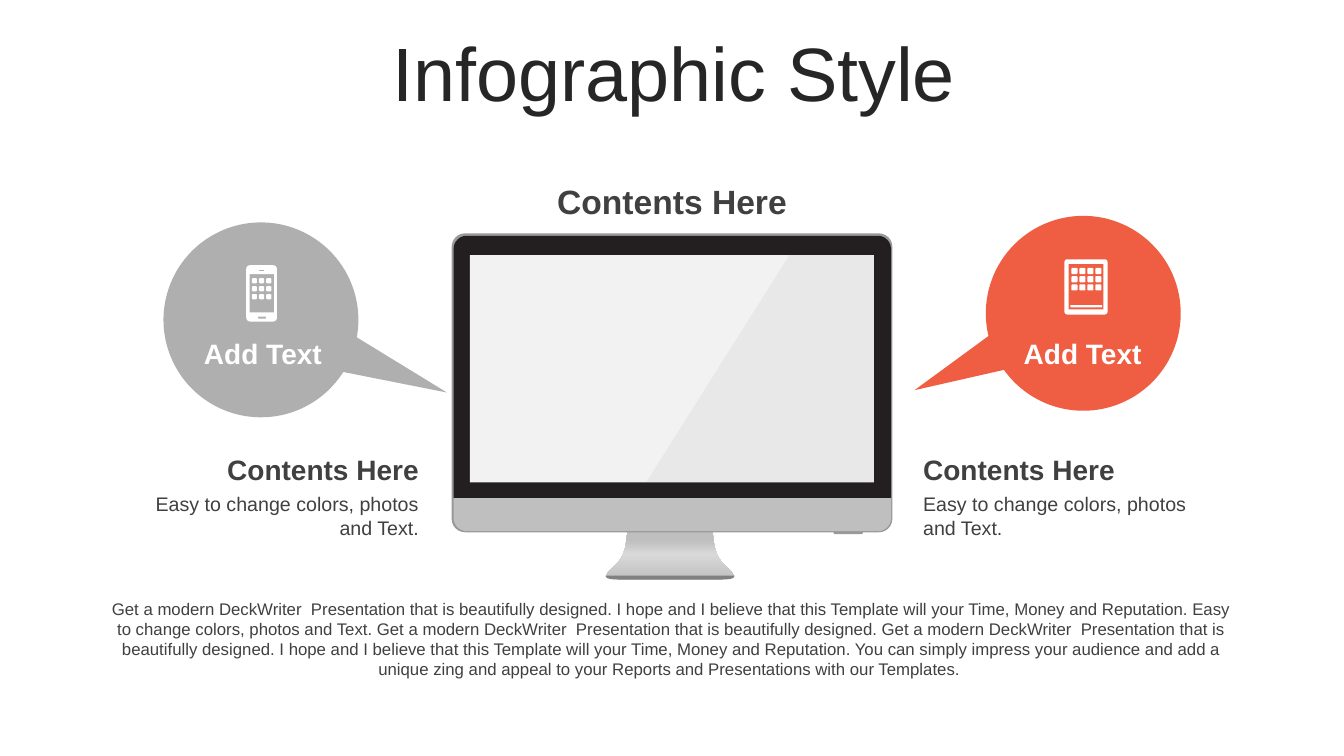
from pptx import Presentation
from pptx.dml.color import RGBColor
from pptx.enum.shapes import MSO_SHAPE
from pptx.enum.text import MSO_ANCHOR, MSO_AUTO_SIZE, PP_ALIGN
from pptx.oxml import parse_xml
from pptx.oxml.ns import nsdecls, qn
from pptx.util import Pt

HEX = {
    "white": "FFFFFF", "title": "262626", "text": "404040",
    "red": "EF5E42", "gray": "AFAFAF", "edge": "999999",
    "black": "231F20", "chin": "BFBFBF", "shine": "D9D9D9",
    "foot": "808080", "glass": "F2F2F2",
}
MID = 478.6
LEFT, CENTER, RIGHT = PP_ALIGN.LEFT, PP_ALIGN.CENTER, PP_ALIGN.RIGHT
BOX, ROUND = MSO_SHAPE.RECTANGLE, MSO_SHAPE.ROUNDED_RECTANGLE
TABS = MSO_SHAPE.ROUND_2_SAME_RECTANGLE
BLURB = (
    "Get a modern DeckWriter  Presentation that is beautifully designed. "
    "I hope and I believe that this Template will your Time, Money and Reputation. "
    "Easy to change colors, photos and Text. "
    "Get a modern DeckWriter  Presentation that is beautifully designed. "
    "Get a modern DeckWriter  Presentation that is beautifully designed. "
    "I hope and I believe that this Template will your Time, Money and Reputation. "
    "You can simply impress your audience and add a unique zing and appeal "
    "to your Reports and Presentations with our Templates. "
)


def color(name):
    return RGBColor.from_string(HEX[name])


def paint(shape, fill):
    shape.shadow.inherit = False
    shape.fill.solid()
    shape.fill.fore_color.rgb = color(fill)
    shape.line.fill.background()
    return shape


def block(slide, kind, x, y, w, h, fill, adjust=(), turn=0):
    shape = slide.shapes.add_shape(kind, Pt(x), Pt(y), Pt(w), Pt(h))
    for i, value in enumerate(adjust):
        shape.adjustments[i] = value
    shape.rotation = turn
    return paint(shape, fill)


def outline(slide, loops, fill):
    grids = [[(x * 100, y * 100) for x, y in loop] for loop in loops]
    pen = slide.shapes.build_freeform(*grids[0][0], scale=Pt(1) / 100)
    pen.add_line_segments(grids[0][1:], close=True)
    for grid in grids[1:]:
        pen.move_to(*grid[0])
        pen.add_line_segments(grid[1:], close=True)
    return paint(pen.convert_to_shape(), fill)


def curve(a, b, c, d, steps=5):
    points = []
    for i in range(steps + 1):
        t = i / steps
        s = 1 - t
        points.append(tuple(
            s**3 * p + 3 * s * s * t * q + 3 * s * t * t * r + t**3 * e
            for p, q, r, e in zip(a, b, c, d)))
    return points


def mirror(half):
    right = [(MID + x, y) for x, y in half]
    return right + [(MID - x, y) for x, y in reversed(half)]


def plate(x, y, w, h, cut=0, steps=1):
    if not cut:
        return [(x, y), (x + w, y), (x + w, y + h), (x, y + h)]
    points = []
    for cx, cy, dx, dy in ((x, y, 1, 1), (x + w, y, -1, 1),
                           (x + w, y + h, -1, -1), (x, y + h, 1, -1)):
        side, flat = (cx, cy + dy * cut), (cx + dx * cut, cy)
        ends = (side, flat) if dx == dy else (flat, side)
        near = [tuple(0.45 * p + 0.55 * q for p, q in zip(end, (cx, cy)))
                for end in ends]
        points += curve(ends[0], near[0], near[1], ends[1], steps)
    return points


def fade(shape, stops, angle):
    shape.fill.gradient()
    shape.fill.gradient_angle = angle
    old = shape.fill._xPr.find(qn("a:gradFill")).find(qn("a:gsLst"))
    marks = "".join(
        f'<a:gs pos="{spot * 1000}"><a:srgbClr val="{HEX[name]}"/></a:gs>'
        for spot, name in stops)
    new = parse_xml(f'<a:gsLst {nsdecls("a")}>{marks}</a:gsLst>')
    old.getparent().replace(old, new)


def veil(shape, share):
    tint = shape.fill._xPr.find(qn("a:solidFill"))[0]
    tint.append(parse_xml(f'<a:alpha {nsdecls("a")} val="{share * 1000}"/>'))


def write(frame, words, size, tone, align, bold=False):
    para = frame.paragraphs[0]
    para.alignment = align
    run = para.add_run()
    run.text = words
    font = run.font
    font.name = "Arial"
    font.size = Pt(size)
    font.bold = bold
    font.color.rgb = color(tone)
    return para


def label(slide, x, y, w, h, words, size, align, tone="text", bold=False):
    box = slide.shapes.add_textbox(Pt(x), Pt(y), Pt(w), Pt(h))
    frame = box.text_frame
    frame.word_wrap = True
    frame.auto_size = MSO_AUTO_SIZE.SHAPE_TO_FIT_TEXT
    write(frame, words, size, tone, align, bold)


def head(slide, words):
    title = slide.shapes.title
    title.left, title.top = Pt(25.6), Pt(26.6)
    title.width, title.height = Pt(911.5), Pt(56.9)
    frame = title.text_frame
    frame.word_wrap = True
    frame.auto_size = MSO_AUTO_SIZE.NONE
    frame.vertical_anchor = MSO_ANCHOR.MIDDLE
    write(frame, words, 54, "title", CENTER).line_spacing = 0.9


def stand(slide):
    half = curve((30.6, 380.2), (30.6, 380.2), (30.6, 394.6), (37.1, 401.8))
    half += curve((37.1, 401.8), (43.6, 408.2), (53.6, 414), (35.6, 414))[1:]
    neck = outline(slide, [mirror(half)], "chin")
    fade(neck, [(0, "chin"), (53, "shine"), (83, "chin"), (100, "chin")], 90)
    base = curve((46.1, 411.1), (46.1, 413.2), (43.6, 414), (36, 414))
    outline(slide, [mirror(base)], "foot")


def screen(slide):
    stand(slide)
    block(slide, ROUND, 322.6, 166.7, 314.8, 213.5, "edge", [0.045])
    block(slide, TABS, 595.4, 379.4, 20.9, 2.2, "edge", [0.5, 0], 180)
    block(slide, TABS, 324, 168.4, 312.5, 187.4, "black", [0.05, 0])
    block(slide, TABS, 324, 355.8, 312.5, 23.6, "chin", [0.4, 0], 180)
    block(slide, BOX, 335.6, 182.2, 288.7, 162.4, "glass")
    glare = [(563.8, 182.2), (624.4, 182.2), (624.4, 344.6), (461.5, 344.6)]
    veil(outline(slide, [glare], "edge"), 10)


def apps(x, y, cols, size, step, drop):
    return [plate(x + col * step, y + row * drop, size, size, 0.6)
            for row in range(3) for col in range(cols)]


def phone(slide):
    loops = [plate(175.9, 189.4, 22, 40.3, 2.9, 4),
             plate(178.4, 195.8, 17.4, 27.4),
             plate(185, 192.8, 3.8, 0.9, 0.3),
             plate(184.2, 226.2, 6, 1.4, 0.4)]
    loops += apps(179.9, 198.7, 3, 3.7, 5.15, 5.7)
    outline(slide, loops, "white")


def tablet(slide):
    loops = [plate(760.3, 185.2, 30.9, 39.5, 2.2, 4),
             plate(763.4, 188.6, 24.8, 32.4),
             plate(764.6, 218, 22.6, 1.6)]
    loops += apps(765.3, 191.4, 4, 4.4, 5.7, 5.85)
    outline(slide, loops, "white")


def bubble(slide, x, y, fill, tail, left):
    block(slide, MSO_SHAPE.OVAL_CALLOUT, x, y, 139.2, 139.2, fill, tail, 31.4)
    label(slide, left, 236.9, 116.6, 31.5, "Add Text", 20, CENTER, "white", True)


def note(slide, x, w, align):
    label(slide, x, 319.7, w, 31.5, "Contents Here", 20, align, bold=True)
    label(slide, x, 347.8, w, 41.2,
          "Easy to change colors, photos and Text.", 14, align)


def main():
    deck = Presentation()
    deck.slide_width, deck.slide_height = Pt(960), Pt(540)
    slide = deck.slides.add_slide(deck.slide_layouts[5])
    head(slide, "Infographic Style")
    screen(slide)
    bubble(slide, 704.2, 154.2, "red", (-0.534, 0.788), 715)
    bubble(slide, 116.8, 158.9, "gray", (1.009, -0.179), 129.5)
    phone(slide)
    tablet(slide)
    note(slide, 100.3, 206, RIGHT)
    note(slide, 652.3, 207.4, LEFT)
    label(slide, 367.7, 125.8, 224.6, 36.3, "Contents Here", 24, CENTER, bold=True)
    label(slide, 68.4, 424, 823, 65.4, BLURB, 12, CENTER)
    deck.save("out.pptx")


if __name__ == "__main__":
    main()
